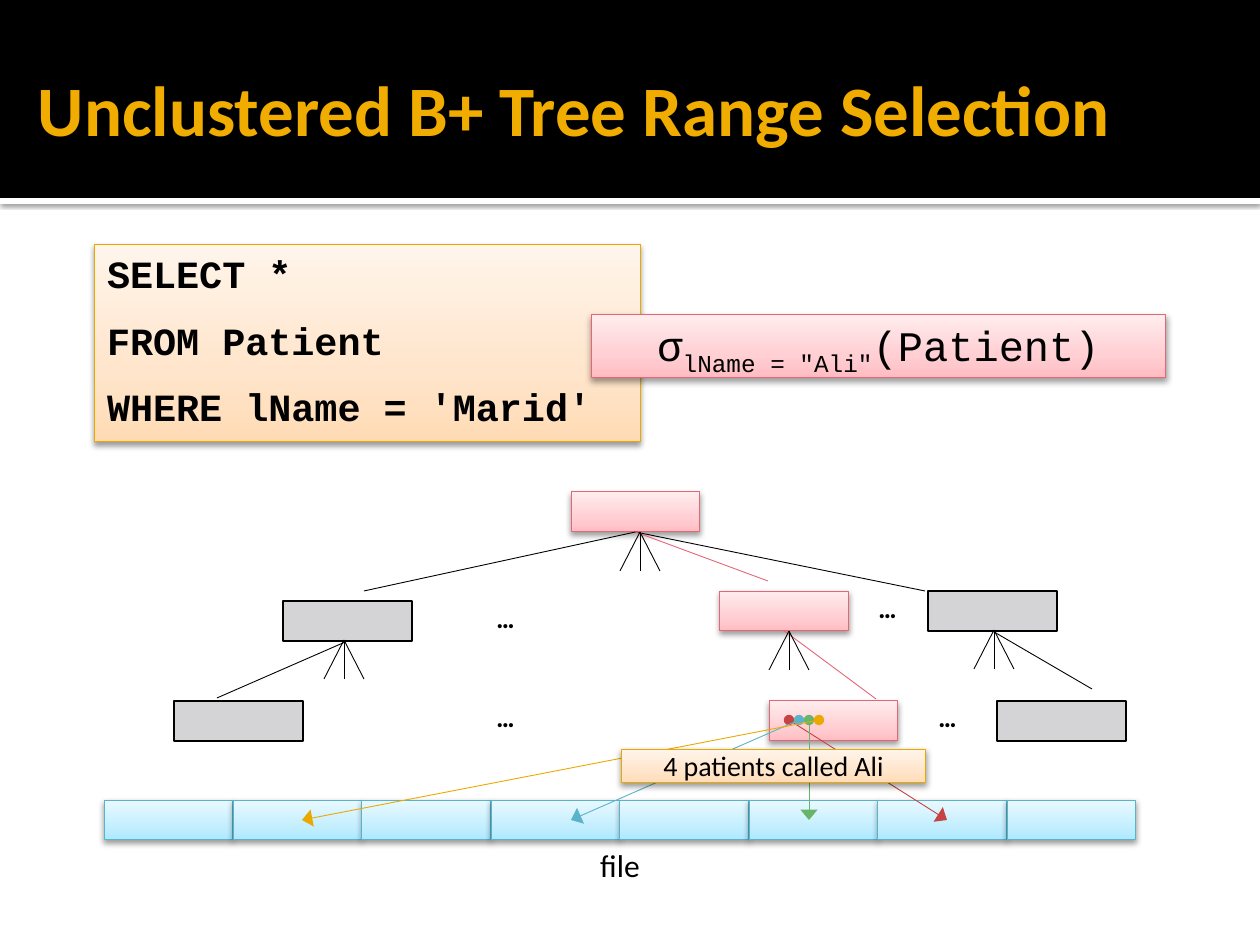
import pptx
import pptx.util
import pptx.dml.color
import pptx.enum.shapes
import pptx.enum.text
import pptx.oxml
import pptx.oxml.ns

EMU_PER_PX = 914400 / 126
NODE_W, NODE_H = 129, 40
ALIGN = pptx.enum.text.PP_ALIGN
ANCHOR = pptx.enum.text.MSO_ANCHOR
RECTANGLE = pptx.enum.shapes.MSO_SHAPE.RECTANGLE
STRAIGHT = pptx.enum.shapes.MSO_CONNECTOR.STRAIGHT

# Looks: gradient from bottom to top, and outline
BLUE = (("ADE9FF", "C5EFFF", "E9F9FF"), "5BB3CA")
PINK = (("FFBCC2", "FFCFD3", "FFEDEE"), "E46778")
ORANGE = (("FFDBB5", "FFE5CB", "FFF5EB"), "EBA900")
CARD_SHADOW = (38, 3.5, 2)

# Text formats
CODE = {"name": "Courier New", "size": pptx.util.Pt(22), "bold": True}
ALGEBRA = {"name": "Courier New", "size": pptx.util.Pt(24)}
DOTS = {"name": "Montserrat", "size": pptx.util.Pt(12), "bold": True}
LABEL = {"name": "Calibri", "size": pptx.util.Pt(16)}
CAPTION = {"name": "Calibri", "size": pptx.util.Pt(18)}
HEADING = {"name": "Calibri", "size": pptx.util.Pt(40.5), "bold": True}


def px(*lengths):
    return [pptx.util.Emu(round(length * EMU_PER_PX)) for length in lengths]


def rgb(value):
    return pptx.dml.color.RGBColor.from_string(value)


def add_xml(parent, tag, content="", attributes="", index=None):
    element = pptx.oxml.parse_xml(
        f'<a:{tag} {pptx.oxml.ns.nsdecls("a")} {attributes}>{content}</a:{tag}>')
    parent.insert(len(parent) if index is None else index, element)


def add_shadow(shape, alpha, blur, distance):
    effects = shape._element.spPr.find(pptx.oxml.ns.qn("a:effectLst"))
    add_xml(effects, "outerShdw",
            f'<a:srgbClr val="000000"><a:alpha val="{alpha * 1000}"/></a:srgbClr>',
            f'blurRad="{pptx.util.Pt(blur)}" dist="{pptx.util.Pt(distance)}" '
            'dir="5400000" rotWithShape="0"')


def add_plain(page, place, fill, outline=None):
    shape = page.shapes.add_shape(RECTANGLE, *px(*place))
    shape.shadow.inherit = False
    shape.fill.solid()
    shape.fill.fore_color.rgb = rgb(fill)
    if outline:
        shape.line.color.rgb = rgb(outline)
        shape.line.width = pptx.util.Pt(0.75)
    else:
        shape.line.fill.background()
    return shape


def add_card(page, place, look):
    colours, outline = look
    shape = page.shapes.add_shape(RECTANGLE, *px(*place))
    stops = "".join(f'<a:gs pos="{position}"><a:srgbClr val="{colour}"/></a:gs>'
                    for position, colour in zip((0, 35000, 100000), colours))
    add_xml(shape._element.spPr, "gradFill",
            f'<a:gsLst>{stops}</a:gsLst><a:lin ang="16200000" scaled="0"/>',
            'rotWithShape="1"', index=2)
    shape.line.color.rgb = rgb(outline)
    shape.line.width = pptx.util.Pt(0.5)
    shape.shadow.inherit = False
    add_shadow(shape, *CARD_SHADOW)
    return shape


def add_node(page, left, top, look=None):
    place = (left, top, NODE_W, NODE_H)
    if look:
        return add_card(page, place, look)
    return add_plain(page, place, "D4D4D6", "000000")


def write(shape, paragraphs, font, colour="000000", align=ALIGN.CENTER,
          insets=(13, 6, 13, 6), anchor=ANCHOR.TOP):
    """Each paragraph is a list of (text, baseline shift in percent)."""
    frame = shape.text_frame
    left, top, right, bottom = px(*insets)
    settings = {"word_wrap": True, "vertical_anchor": anchor,
                "margin_left": left, "margin_top": top,
                "margin_right": right, "margin_bottom": bottom}
    for name, value in settings.items():
        setattr(frame, name, value)
    for number, pieces in enumerate(paragraphs):
        para = frame.add_paragraph() if number else frame.paragraphs[0]
        para.alignment = align
        if number:
            para.space_before = pptx.util.Pt(11.7)
        for text, shift in pieces:
            span = para.add_run()
            span.text = text
            for name, value in font.items():
                setattr(span.font, name, value)
            span.font.color.rgb = rgb(colour)
            if shift:
                span.font._element.set("baseline", str(shift * 1000))


def add_label(page, place, text, font):
    box = page.shapes.add_textbox(*px(*place))
    write(box, [[(text, 0)]], font)


def add_line(shapes, start, end, colour="000000"):
    line = shapes.add_connector(STRAIGHT, *px(*start, *end))
    line.line.color.rgb = rgb(colour)
    line.line.width = pptx.util.Pt(0.5)
    add_xml(line._element.spPr, "effectLst")
    return line


def add_pointer(page, start, end, colour):
    line = add_line(page.shapes, start, end, colour)
    outline = line.line._get_or_add_ln()
    add_xml(outline, "headEnd", attributes='type="oval"')
    add_xml(outline, "tailEnd", attributes='type="triangle" w="lg"')


def add_branch(page, child, parent, colour="000000"):
    line = add_line(page.shapes, child, child, colour)
    line.end_connect(parent, 2)


def add_fan(page, x, y):
    group = page.shapes.add_group_shape()
    for offset in (-20, 0, 20):
        add_line(group.shapes, (x + offset, y + 39), (x, y))


def main():
    deck = pptx.Presentation()
    deck.slide_width, deck.slide_height = px(1260, 945)
    page = deck.slides.add_slide(deck.slide_layouts[5])

    # Header band and title
    rule = add_plain(page, (0, 198, 1260, 6), "FFFFFF")
    add_shadow(rule, 60, 2.5, 0.8)
    add_plain(page, (0, 0, 1260, 198), "000000")
    title = page.shapes.title
    title.left, title.top, title.width, title.height = px(25, 22, 1211, 173)
    write(title, [[("Unclustered B+ Tree Range Selection", 0)]], HEADING,
          "F0AD00", ALIGN.LEFT, (13, 6, 6, 6), ANCHOR.MIDDLE)
    page.shapes._spTree.append(title._element)

    # Data file and the pointers into it
    for block in range(8):
        add_node(page, 104 + block * NODE_W, 800, BLUE)
    add_node(page, 769, 701, PINK)
    targets = [(947, "C54342"), (571, "5BB3CA"), (809, "67B569"), (302, "EBA900")]
    for entry, (x, colour) in enumerate(targets):
        add_pointer(page, (789 + 10 * entry, 720), (x, 820), colour)
    add_label(page, (104, 840, 1032, 50), "file", CAPTION)

    # Query and its relational algebra
    query = add_card(page, (94, 244, 546, 198), ORANGE)
    lines = ("SELECT *", "FROM Patient", "WHERE lName = 'Marid'")
    write(query, [[(line, 0)] for line in lines], CODE, align=ALIGN.LEFT)
    algebra = add_card(page, (591, 314, 575, 64), PINK)
    write(algebra, [[("σ", 0), ('lName = "Ali"', -25), ("(Patient)", 0)]],
          ALGEBRA)

    # Tree nodes
    root = add_node(page, 571, 492, PINK)
    left = add_node(page, 283, 601)
    right = add_node(page, 928, 591)
    middle = add_node(page, 720, 591, PINK)
    add_node(page, 174, 701)
    add_node(page, 997, 701)
    for x, y, width in ((858, 592, 59), (441, 602, 129),
                        (441, 701, 129), (918, 701, 59)):
        add_label(page, (x, y, width, 38), "…", DOTS)
    note = add_card(page, (621, 749, 305, 34), ORANGE)
    write(note, [[("4 patients called Ali", 0)]], LABEL, insets=(0, 0, 0, 0))

    # Branches, with the searched route in pink
    add_branch(page, (364, 591), root)
    add_branch(page, (925, 591), root)
    add_branch(page, (768, 581), root, PINK[1])
    add_branch(page, (876, 699), middle, PINK[1])
    add_branch(page, (1092, 689), right)
    add_branch(page, (217, 698), left)
    for x, y in ((344, 640), (994, 630), (789, 631), (640, 532)):
        add_fan(page, x, y)

    deck.save("out.pptx")


if __name__ == "__main__":
    main()
